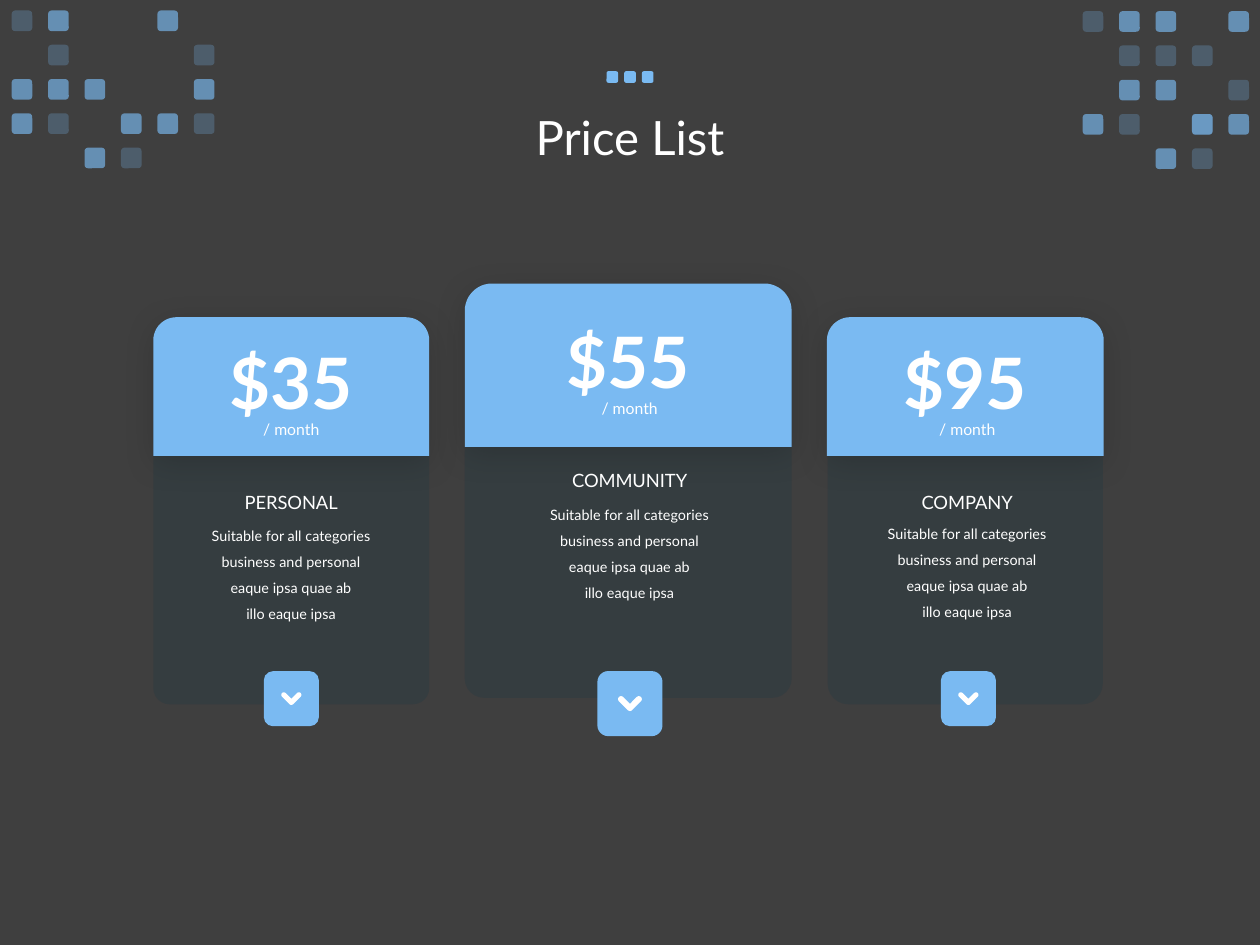
import math

from lxml import etree
from pptx import Presentation
from pptx.dml.color import RGBColor
from pptx.enum import shapes, text
from pptx.oxml.ns import qn
from pptx.util import Pt

COLORS = {"bg": "3F3F3F", "blue": "7ABAF2", "panel": "313C41", "white": "FFFFFF", "shadow": "000000"}
FONT = "Lato"
ROUND, TAB = shapes.MSO_SHAPE.ROUNDED_RECTANGLE, shapes.MSO_SHAPE.ROUND_2_SAME_RECTANGLE

TITLE = "Price List"
PERIOD = "/ month"
DETAILS = ["Suitable for all categories business and personal", "eaque ipsa quae ab", "illo eaque ipsa"]
# card: (left, top, width, height); text_x: centre of the plan text
PLANS = [
    {"name": "COMPANY", "price": "$95", "panel": (473, 234, 157.2, 168.5), "radius": 0.075,
     "header": (472.5, 181.3, 158.2, 79.2), "text_x": 552.7, "price_y": 190, "body_y": 292.5,
     "button": (553.4, 31.5)},
    {"name": "COMMUNITY", "price": "$55", "panel": (265.6, 206.6, 186.8, 192.2), "radius": 0.059,
     "header": (265.6, 162, 186.8, 93.4), "text_x": 359.8, "price_y": 177.8, "body_y": 281.5,
     "button": (360, 37.2)},
    {"name": "PERSONAL", "price": "$35", "panel": (87.6, 234, 157.7, 168.5), "radius": 0.059,
     "header": (87.6, 181.3, 157.7, 79.2), "text_x": 166.4, "price_y": 190, "body_y": 293.5,
     "button": (166.5, 31.5)},
]
BUTTON_TOP = 383.5

# Corner mosaics: d = dim, L = light, B = light with dim on top
MOSAICS = [
    (6.7, 6, ["dL..L.", ".d...d", "LLL..L", "Ld.LLd", "..Ld.."]),
    (618.7, 6.4, ["dLL.L", ".ddd.", ".LL.d", "Ld.BL", "..Ld."]),
]
TILE, STEP_X, STEP_Y = 11.8, 20.82, 19.6
TILE_ALPHAS = {".": [], "d": [25], "L": [65], "B": [65, 25]}

MARK_X, MARK_Y, MARK, MARK_STEP = 346.6, 40.7, 6.6, 10.1


def set_fill(sp, color, alpha=100):
    sp.shadow.inherit = False
    sp.fill.solid()
    sp.fill.fore_color.rgb = RGBColor.from_string(COLORS[color])
    sp.line.fill.background()
    if alpha < 100:
        clr = sp._element.spPr.find(".//" + qn("a:srgbClr"))
        etree.SubElement(clr, qn("a:alpha"), val=str(alpha * 1000))


def add_block(parent, kind, box, color, alpha=100, radius=None):
    sp = parent.add_shape(kind, *map(Pt, box))
    set_fill(sp, color, alpha)
    if radius is not None:
        sp.adjustments[0] = radius
    return sp


def add_shadow(sp):
    effects = sp._element.spPr.find(qn("a:effectLst"))
    shadow = etree.SubElement(effects, qn("a:outerShdw"), blurRad=str(Pt(19)), dist=str(Pt(4)),
                              dir="5400000", algn="t", rotWithShape="0")
    clr = etree.SubElement(shadow, qn("a:srgbClr"), val=COLORS["shadow"])
    etree.SubElement(clr, qn("a:alpha"), val="15000")


def add_text(parent, box, lines, size, bold=False, spacing=None, inset=(5.4, 2.7), middle=False):
    tf = parent.add_textbox(*map(Pt, box)).text_frame
    side, edge = map(Pt, inset)
    frame = {"word_wrap": True, "margin_left": side, "margin_right": side,
             "margin_top": edge, "margin_bottom": edge,
             "vertical_anchor": text.MSO_ANCHOR.MIDDLE if middle else text.MSO_ANCHOR.TOP,
             "auto_size": text.MSO_AUTO_SIZE.NONE if middle else text.MSO_AUTO_SIZE.SHAPE_TO_FIT_TEXT}
    for key, value in frame.items():
        setattr(tf, key, value)
    for i, line in enumerate(lines):
        p = tf.paragraphs[0] if i == 0 else tf.add_paragraph()
        p.alignment = text.PP_ALIGN.CENTER
        if spacing:
            p.line_spacing = spacing
        r = p.add_run()
        r.text = line
        for key, value in {"name": FONT, "size": Pt(size), "bold": bold}.items():
            setattr(r.font, key, value)
        r.font.color.rgb = RGBColor.from_string(COLORS["white"])


def add_chevron(parent, cx, cy, scale):
    """Downward chevron with round ends, outlined around its three corner points."""
    arm, radius = 4.3 * scale, 1.45 * scale
    top = cy - arm / 2

    def arc(x, y, start, end):
        angles = [math.radians(a) for a in range(start, end + 1, 15)]
        return [(x + radius * math.cos(a), y + radius * math.sin(a)) for a in angles]

    outline = (arc(cx - arm, top, 135, 315) + [(cx, top + arm - radius * math.sqrt(2))]
               + arc(cx + arm, top, 225, 405) + arc(cx, top + arm, 45, 135))
    points = [(Pt(x), Pt(y)) for x, y in outline]
    builder = parent.build_freeform(*points[0])
    builder.add_line_segments(points[1:], close=True)
    set_fill(builder.convert_to_shape(), "white")


def add_plan_text(parent, plan):
    x, y = plan["text_x"], plan["price_y"]
    left, _, width, _ = plan["header"]
    add_text(parent, (left + width / 2 - 45, y, 90, 56), [plan["price"]], 40.5, bold=True, inset=(7.2, 3.6))
    add_text(parent, (x - 30, y + 41.8, 60, 19.4), [PERIOD], 9, spacing=1.5)
    add_text(parent, (x - 57, plan["body_y"], 114, 63.4), DETAILS, 8.25, spacing=1.5)
    add_text(parent, (x - 52, y + 87.8, 104, 18), [plan["name"]], 10.5)


def main():
    prs = Presentation()
    prs.slide_width, prs.slide_height = Pt(720), Pt(540)
    s = prs.slides.add_slide(prs.slide_layouts[6])
    s.background.fill.solid()
    s.background.fill.fore_color.rgb = RGBColor.from_string(COLORS["bg"])

    add_text(s.shapes, (49.7, 28, 620.6, 104.4), [TITLE], 27, spacing=0.9, inset=(7.2, 3.6), middle=True)
    for plan in PLANS:
        add_block(s.shapes, ROUND, plan["panel"], "panel", 65, plan["radius"])
    for plan in PLANS:
        add_shadow(add_block(s.shapes, TAB, plan["header"], "blue"))
    for plan in reversed(PLANS):
        add_plan_text(s.shapes, plan)
        cx, size = plan["button"]
        add_block(s.shapes, ROUND, (cx - size / 2, BUTTON_TOP, size, size), "blue")
        add_chevron(s.shapes, cx, BUTTON_TOP + size / 2, size / 31.5)

    for left, top, rows in MOSAICS:
        group = s.shapes.add_group_shape().shapes
        for row, tiles in enumerate(rows):
            for col, tile in enumerate(tiles):
                for alpha in TILE_ALPHAS[tile]:
                    box = (left + col * STEP_X, top + row * STEP_Y, TILE, TILE)
                    add_block(group, ROUND, box, "blue", alpha)

    marks = s.shapes.add_group_shape().shapes
    for i in range(3):
        add_block(marks, ROUND, (MARK_X + i * MARK_STEP, MARK_Y, MARK, MARK), "blue")

    prs.save("out.pptx")


if __name__ == "__main__":
    main()
